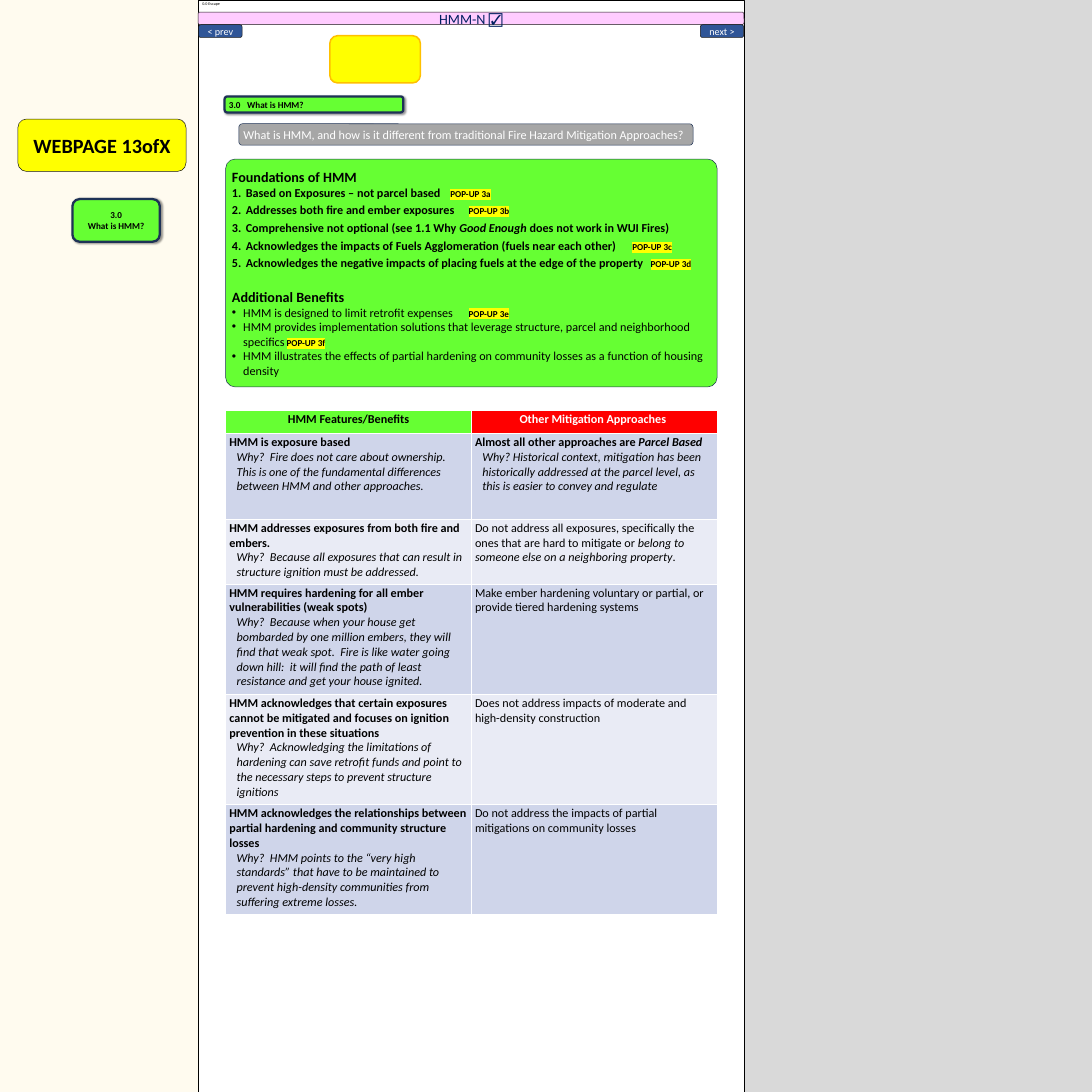
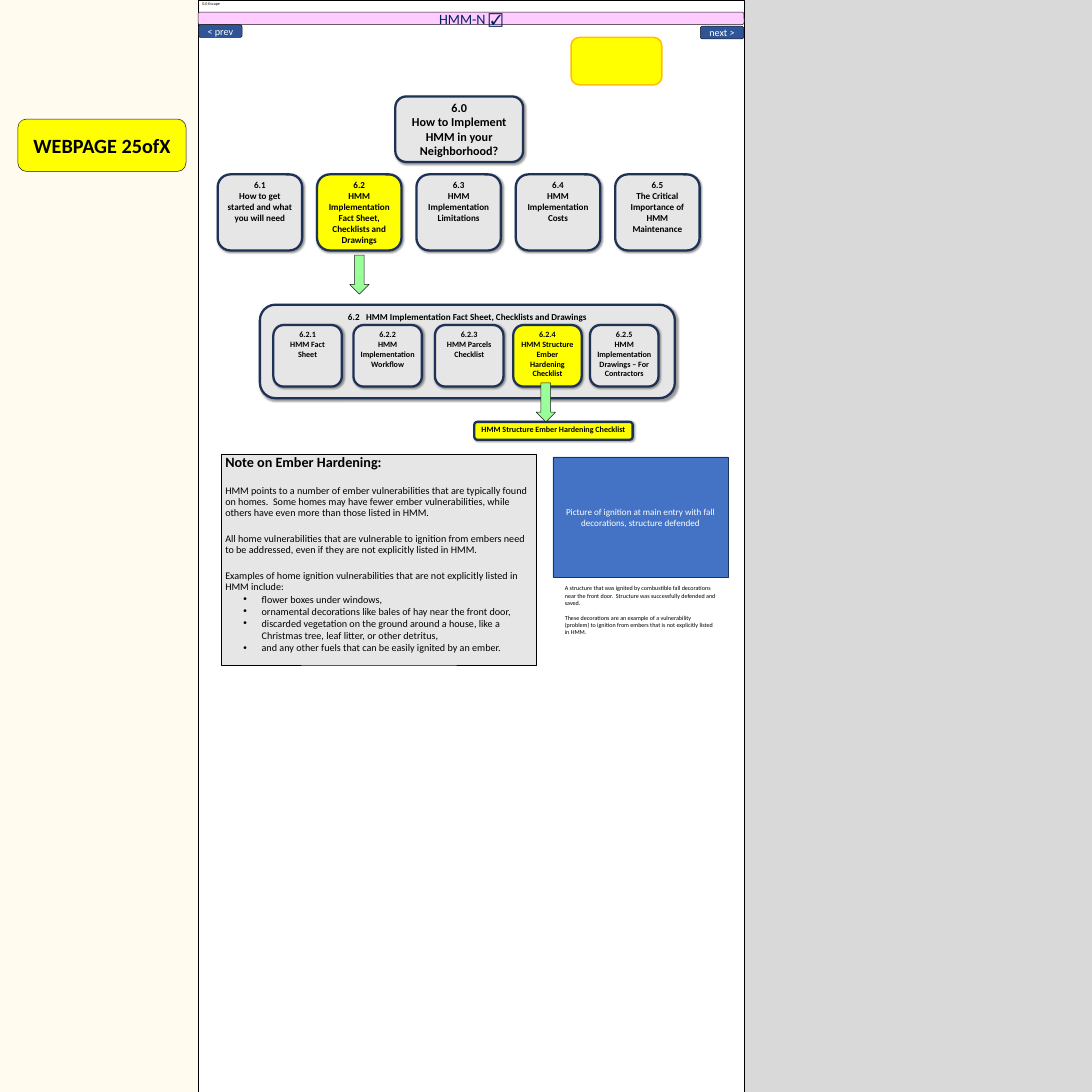
import lxml.etree
import pptx
import pptx.dml.color
import pptx.enum.shapes
import pptx.enum.text
import pptx.oxml.ns
import pptx.util

Inches = pptx.util.Inches
Pt = pptx.util.Pt
SHAPES = pptx.enum.shapes.MSO_SHAPE
ANCHORS = pptx.enum.text.MSO_ANCHOR
ALIGNMENTS = pptx.enum.text.PP_ALIGN

FONT = "Calibri"
BLACK, WHITE, NAVY, EDGE = "000000", "FFFFFF", "1E3256", "181717"
YELLOW, GREEN, GRAY = "FFFF00", "66FF33", "E7E6E6"
PAGE_LEFT, PAGE_WIDTH = 5.44, 15


def color(value):
    return pptx.dml.color.RGBColor.from_string(value)


def add_element(parent, tag, **attributes):
    return lxml.etree.SubElement(parent, pptx.oxml.ns.qn(tag), attributes)


class Deck:
    """Holds the shared style and the current slide, and adds each kind of element."""

    def __init__(self):
        self.presentation = pptx.Presentation()
        self.presentation.slide_width = Inches(30)
        self.presentation.slide_height = Inches(30)
        self.slide = None

    def start_slide(self, page, next_top, marker):
        self.slide = self.presentation.slides.add_slide(self.presentation.slide_layouts[6])
        page_right = PAGE_LEFT + PAGE_WIDTH
        self.box((0, 0, PAGE_LEFT, 30), "FFFBEF", kind=SHAPES.RECTANGLE)
        self.box((page_right, 0, 30 - page_right, 30), "D9D9D9", kind=SHAPES.RECTANGLE)
        self.box((PAGE_LEFT, 0, PAGE_WIDTH, 30), None, BLACK, kind=SHAPES.RECTANGLE)
        self.box((PAGE_LEFT, 0.33, PAGE_WIDTH, 0.35), "FFCCFF", EDGE, ["HMM-N ☑"], size=28, color="002060")
        self.text((5.46, 0.01, 14.98, 0.21), [{"runs": ["0.0 Escape"], "line_spacing": 0.9}], 8.1, ANCHORS.MIDDLE)
        for left, top, label in ((19.24, next_top, "next >"), (5.46, 0.68, "< prev")):
            self.box((left, top, 1.19, 0.35), "2F5597", EDGE, [label], size=20, color=WHITE)
        self.box((0.49, 3.27, 4.62, 1.44), YELLOW, EDGE, [f"WEBPAGE {page}ofX"], size=40, bold=True)
        self.box((*marker, 2.49, 1.3), YELLOW, "FFC000", width=3)

    def box(self, place, fill, line=None, paragraphs=(), width=1, kind=SHAPES.ROUNDED_RECTANGLE,
            anchor=ANCHORS.MIDDLE, align=ALIGNMENTS.CENTER, corner=None, **style):
        shape = self.slide.shapes.add_shape(kind, *map(Inches, place))
        shape.shadow.inherit = False
        if corner is not None:
            shape.adjustments[0] = corner
        if fill:
            shape.fill.solid()
            shape.fill.fore_color.rgb = color(fill)
        else:
            shape.fill.background()
        if line:
            shape.line.color.rgb = color(line)
            shape.line.width = Pt(width)
        else:
            shape.line.fill.background()
        if paragraphs:
            shape.text_frame.word_wrap = True
            shape.text_frame.vertical_anchor = anchor
            self.fill_text(shape.text_frame, paragraphs, align, **style)
        return shape

    def card(self, place, fill, paragraphs, size=18, anchor=ANCHORS.TOP, align=ALIGNMENTS.CENTER):
        shape = self.box(place, fill, NAVY, paragraphs, 4.5, anchor=anchor, align=align, size=size, bold=True)
        effects = shape._element.spPr.find(pptx.oxml.ns.qn("a:effectLst"))
        shadow = add_element(effects, "a:outerShdw", blurRad=str(Pt(4)), dist=str(Pt(3)),
                             dir="2700000", algn="tl", rotWithShape="0")
        add_element(add_element(shadow, "a:srgbClr", val=BLACK), "a:alpha", val="40000")

    def arrow(self, left, top):
        self.box((left, top, 0.53, 1.07), "99FF99", EDGE, kind=SHAPES.DOWN_ARROW)

    def text(self, place, paragraphs, size, anchor=ANCHORS.TOP):
        frame = self.slide.shapes.add_textbox(*map(Inches, place)).text_frame
        frame.word_wrap = True
        frame.vertical_anchor = anchor
        self.fill_text(frame, paragraphs, size=size)

    def table(self, place, rows, heights):
        left, top, width = place
        table = self.slide.shapes.add_table(
            len(rows), 2, Inches(left), Inches(top), Inches(width), Inches(sum(heights))).table
        for row, height in zip(table.rows, heights):
            row.height = Inches(height)
        for index, row in enumerate(rows):
            for column, paragraphs in enumerate(row):
                cell = table.cell(index, column)
                header = index == 0
                band = (GREEN, "FF0000")[column] if header else ("E9EBF5", "CFD5EA")[index % 2]
                cell.fill.solid()
                cell.fill.fore_color.rgb = color(band)
                self.fill_text(cell.text_frame, paragraphs,
                               ALIGNMENTS.CENTER if header else ALIGNMENTS.LEFT, size=24, bold=header,
                               color=WHITE if header and column else BLACK)

    def fill_text(self, frame, paragraphs, align=ALIGNMENTS.LEFT, **style):
        base = {"name": FONT, "size": 18, "bold": False, "italic": False, "color": BLACK} | style
        for index, content in enumerate(paragraphs):
            paragraph = frame.paragraphs[0] if index == 0 else frame.add_paragraph()
            content = {"runs": [content]} if isinstance(content, str) else dict(content)
            runs = content.pop("runs")
            self.indent(paragraph, *content.pop("indent", (0, 0)), content.pop("bullet", None))
            for name, value in ({"alignment": align} | content).items():
                setattr(paragraph, name, value)
            for piece in runs:
                label, changes = (piece, {}) if isinstance(piece, str) else piece
                self.add_run(paragraph, label, base | changes)

    def indent(self, paragraph, margin, hanging, bullet):
        properties = paragraph._p.get_or_add_pPr()
        properties.set("marL", str(Inches(margin)))
        properties.set("indent", str(Inches(hanging)))
        if bullet == "number":
            add_element(properties, "a:buFont", typeface="+mj-lt")
            add_element(properties, "a:buAutoNum", type="arabicPeriod")
        elif bullet:
            add_element(properties, "a:buFont", typeface="Arial")
            add_element(properties, "a:buChar", char=bullet)

    def add_run(self, paragraph, label, formats):
        run = paragraph.add_run()
        run.text = label
        formats = dict(formats)
        highlight = formats.pop("highlight", None)
        if highlight:
            add_element(add_element(run._r.get_or_add_rPr(), "a:highlight"), "a:srgbClr", val=highlight)
        run.font.color.rgb = color(formats.pop("color"))
        formats["size"] = Pt(formats["size"])
        for name, value in formats.items():
            setattr(run.font, name, value)


def popup(letter):
    small = {"size": 18, "bold": True}
    return [("\t", small), (f"POP-UP 3{letter}", small | {"highlight": YELLOW})]


def strong(label):
    return {"runs": [(label, {"bold": True})]}


def reason(label):
    return {"runs": [(label, {"italic": True})], "indent": (0.2, 0)}


def foundation_paragraphs():
    numbered = [
        ["Based on Exposures – not parcel based", *popup("a")],
        ["Addresses both fire and ember exposures", *popup("b")],
        ["Comprehensive not optional (see 1.1 Why ", ("Good Enough ", {"italic": True}),
         "does not work in WUI Fires)"],
        ["Acknowledges the impacts of Fuels Agglomeration (fuels near each other)", *popup("c")],
        ["Acknowledges the negative impacts of placing fuels at the edge of the property", *popup("d")],
    ]
    plain = {"bold": False}
    bulleted = [
        [("HMM is designed to limit retrofit expenses", plain), *popup("e")],
        [("HMM provides implementation solutions that leverage structure, parcel and neighborhood specifics", plain),
         *popup("f")],
        [("HMM illustrates the effects of partial hardening on community losses as a function of housing density",
          plain)],
    ]
    heading = {"size": 28}
    return [
        {"runs": [("Foundations of HMM", heading)]},
        *({"runs": runs, "indent": (0.38, -0.38), "bullet": "number", "space_after": Pt(6)} for runs in numbered),
        {"runs": [("Additional Benefits", heading)], "space_before": Pt(29)},
        *({"runs": runs, "indent": (0.31, -0.31), "bullet": "•"} for runs in bulleted),
    ]


def build_definition(deck):
    deck.start_slide(13, 0.68, (9.06, 0.98))
    deck.card((1.99, 5.47, 2.4, 1.17), GREEN, ["3.0", "What is HMM?"], anchor=ANCHORS.MIDDLE)
    deck.card((6.17, 2.65, 4.91, 0.44), GREEN, ["3.0\tWhat is HMM?"],
              anchor=ANCHORS.MIDDLE, align=ALIGNMENTS.LEFT)
    deck.box((6.56, 3.4, 12.48, 0.59), "A6A6A6", NAVY,
             ["What is HMM, and how is it different from traditional Fire Hazard Mitigation Approaches?"],
             align=ALIGNMENTS.LEFT, size=24, color=WHITE)
    deck.box((6.2, 4.37, 13.5, 6.26), GREEN, NAVY, foundation_paragraphs(),
             align=ALIGNMENTS.LEFT, corner=0.041, size=24, bold=True)
    rows = [
        (["HMM Features/Benefits"], ["Other Mitigation Approaches "]),
        ([strong("HMM is exposure based"),
          reason("Why?  Fire does not care about ownership.  This is one of the fundamental differences "
                 "between HMM and other approaches.")],
         [{"runs": [("Almost all other approaches are ", {"bold": True}),
                    ("Parcel Based", {"bold": True, "italic": True})]},
          reason("Why? Historical context, mitigation has been historically addressed at the parcel level, "
                 "as this is easier to convey and regulate")]),
        ([strong("HMM addresses exposures from both fire and embers."),
          reason("Why?  Because all exposures that can result in structure ignition must be addressed.")],
         [{"runs": ["Do not address all exposures, specifically the ones that are hard to mitigate or ",
                    ("belong to someone else on a neighboring property", {"italic": True}), "."]}]),
        ([strong("HMM requires hardening for all ember vulnerabilities (weak spots)"),
          reason("Why?  Because when your house get bombarded by one million embers, they will find that weak "
                 "spot.  Fire is like water going down hill:  it will find the path of least resistance and "
                 "get your house ignited.")],
         ["Make ember hardening voluntary or partial, or provide tiered hardening systems"]),
        ([strong("HMM acknowledges that certain exposures cannot be mitigated and focuses on ignition "
                 "prevention in these situations"),
          reason("Why?  Acknowledging the limitations of hardening can save retrofit funds and point to the "
                 "necessary steps to prevent structure ignitions")],
         ["Does not address impacts of moderate and high-density construction"]),
        ([strong("HMM acknowledges the relationships between partial hardening and community structure losses"),
          reason("Why?  HMM points to the “very high standards” that have to be maintained to prevent "
                 "high-density communities from suffering extreme losses.")],
         ["Do not address the impacts of partial mitigations on community losses"]),
    ]
    deck.table((6.2, 11.28, 13.5), rows, (0.62, 2.36, 1.78, 3.03, 3.03, 3.03))


def build_implementation(deck):
    deck.start_slide(25, 0.72, (15.69, 1.03))
    deck.card((10.86, 2.65, 3.51, 1.8), GRAY, ["6.0", "How to Implement HMM in your Neighborhood?"],
              size=24, anchor=ANCHORS.MIDDLE)
    topics = ["How to get started and what you will need",
              "HMM Implementation Fact Sheet, Checklists and Drawings",
              "HMM Implementation Limitations", "HMM Implementation Costs",
              "The Critical Importance of HMM Maintenance"]
    for index, topic in enumerate(topics):
        fill = YELLOW if index == 1 else GRAY
        deck.card((5.98 + 2.73 * index, 4.79, 2.32, 2.09), fill, [f"6.{index + 1}", topic])
    deck.card((7.14, 8.37, 11.4, 2.57), GRAY, [f"6.2\t{topics[1]}"])
    documents = [(7.51, "HMM Fact Sheet"), (9.71, "HMM Implementation Workflow"),
                 (11.95, "HMM Parcels Checklist"), (14.1, "HMM Structure Ember Hardening Checklist"),
                 (16.21, "HMM Implementation Drawings – For Contractors")]
    for index, (left, document) in enumerate(documents):
        fill = YELLOW if index == 3 else GRAY
        deck.card((left, 8.93, 1.88, 1.69), fill, [f"6.2.{index + 1}", document], size=16)
    deck.arrow(9.61, 7.01)
    deck.card((13.03, 11.59, 4.35, 0.49), YELLOW, [documents[3][1]], size=16)
    deck.arrow(14.73, 10.52)

    notes = ["HMM points to a number of ember vulnerabilities that are typically found on homes.  Some homes may "
             "have fewer ember vulnerabilities, while others have even more than those listed in HMM.",
             "All home vulnerabilities that are vulnerable to ignition from embers need to be addressed, even if "
             "they are not explicitly listed in HMM.",
             "Examples of home ignition vulnerabilities that are not explicitly listed in HMM include:"]
    examples = ["flower boxes under windows,",
                "ornamental decorations like bales of hay near the front door,",
                "discarded vegetation on the ground around a house, like a Christmas tree, leaf litter, "
                "or other detritus,",
                "and any other fuels that can be easily ignited by an ember."]
    deck.box((6.09, 12.47, 8.64, 5.8), GRAY, BLACK, [
        {"runs": [("Note on Ember Hardening:", {"size": 28, "bold": True})], "line_spacing": 0.9},
        *({"runs": [note], "line_spacing": 0.9, "space_before": Pt(30)} for note in notes),
        *({"runs": [example], "indent": (1, -0.5), "bullet": "•"} for example in examples),
    ], width=0.75, kind=SHAPES.RECTANGLE, anchor=ANCHORS.TOP, align=ALIGNMENTS.LEFT, size=20)
    deck.box((15.19, 12.55, 4.81, 3.31), "4472C4", NAVY,
             ["Picture of ignition at main entry with fall decorations, structure defended"],
             kind=SHAPES.RECTANGLE, color=WHITE)
    deck.text((15.42, 16.02, 4.36, 1.51), [
        "A structure that was ignited by combustible fall decorations near the front door.  "
        "Structure was successfully defended and saved.",
        {"runs": ["These decorations are an example of a vulnerability (problem) to ignition from embers "
                  "that is not explicitly listed in HMM."], "space_before": Pt(14.6)},
    ], 12)


def main():
    deck = Deck()
    build_definition(deck)
    build_implementation(deck)
    deck.presentation.save("out.pptx")


if __name__ == "__main__":
    main()
